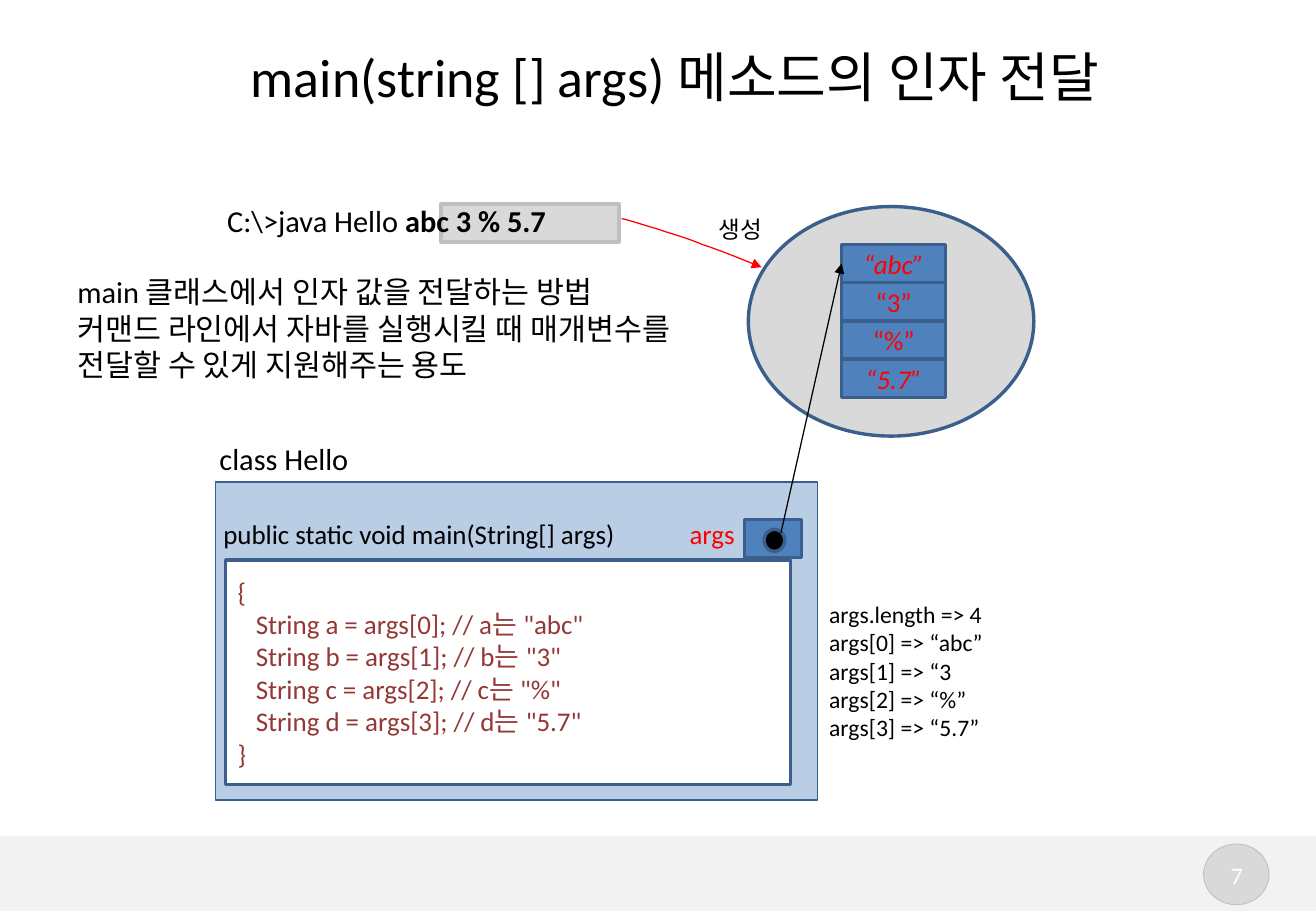
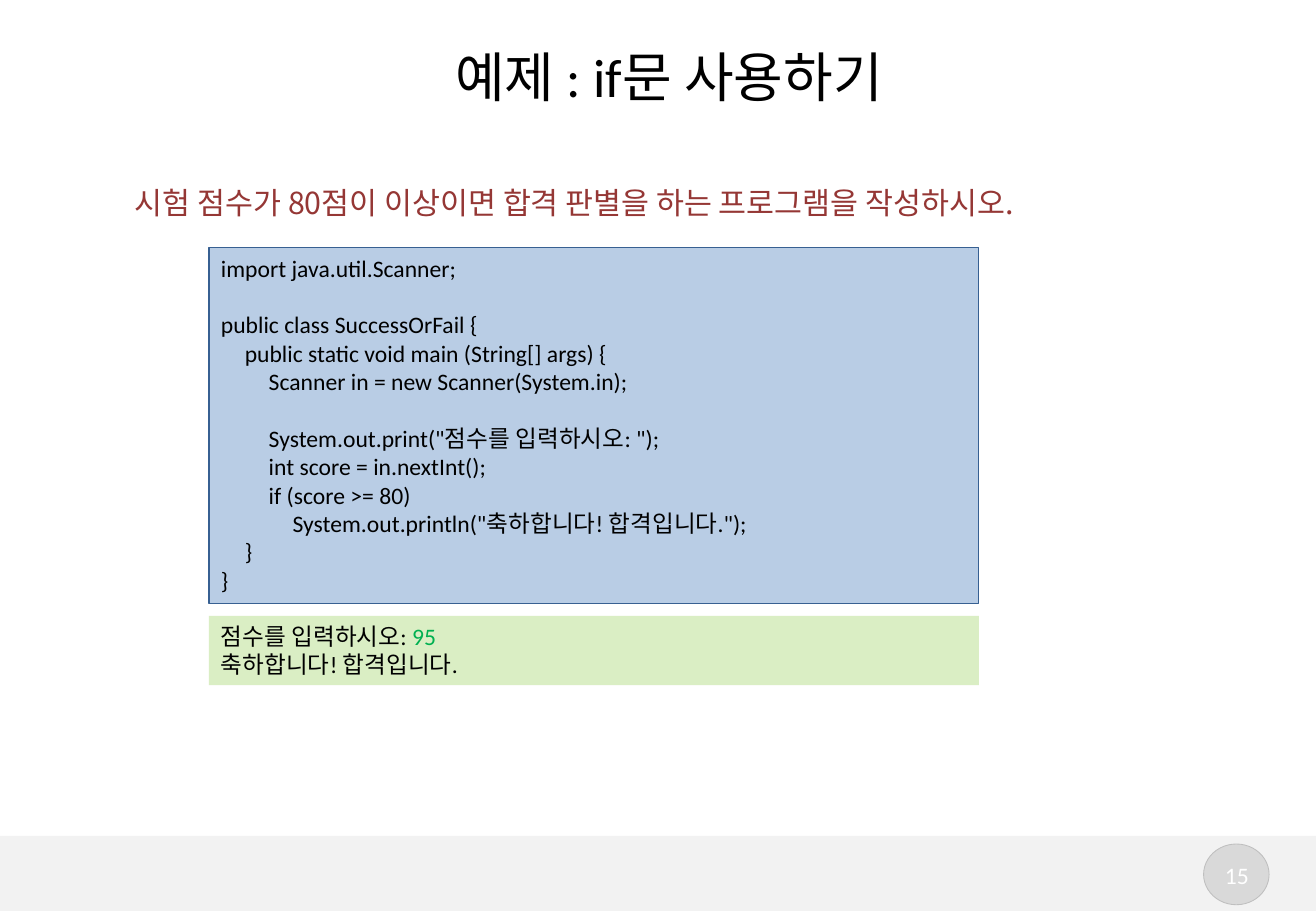
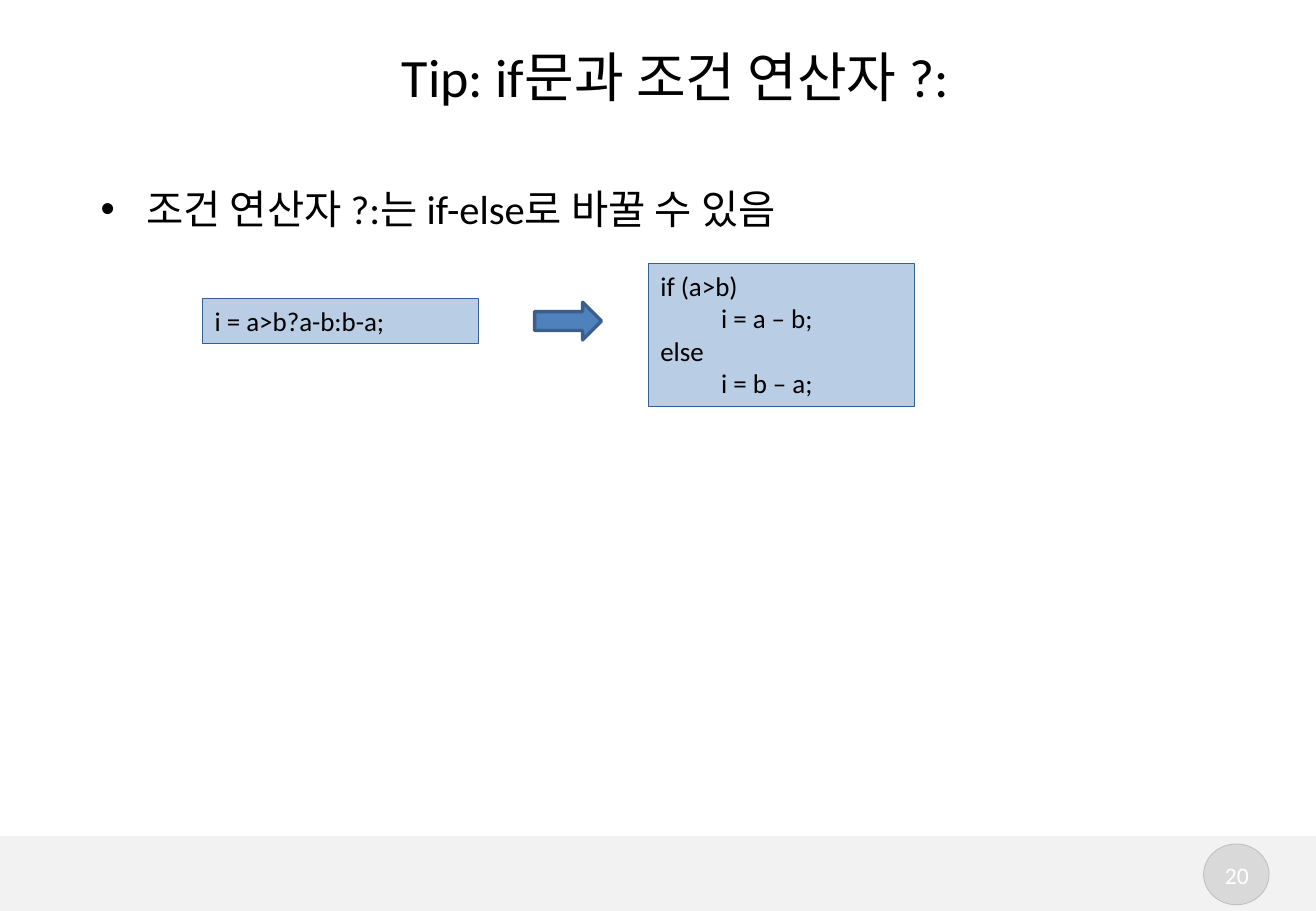
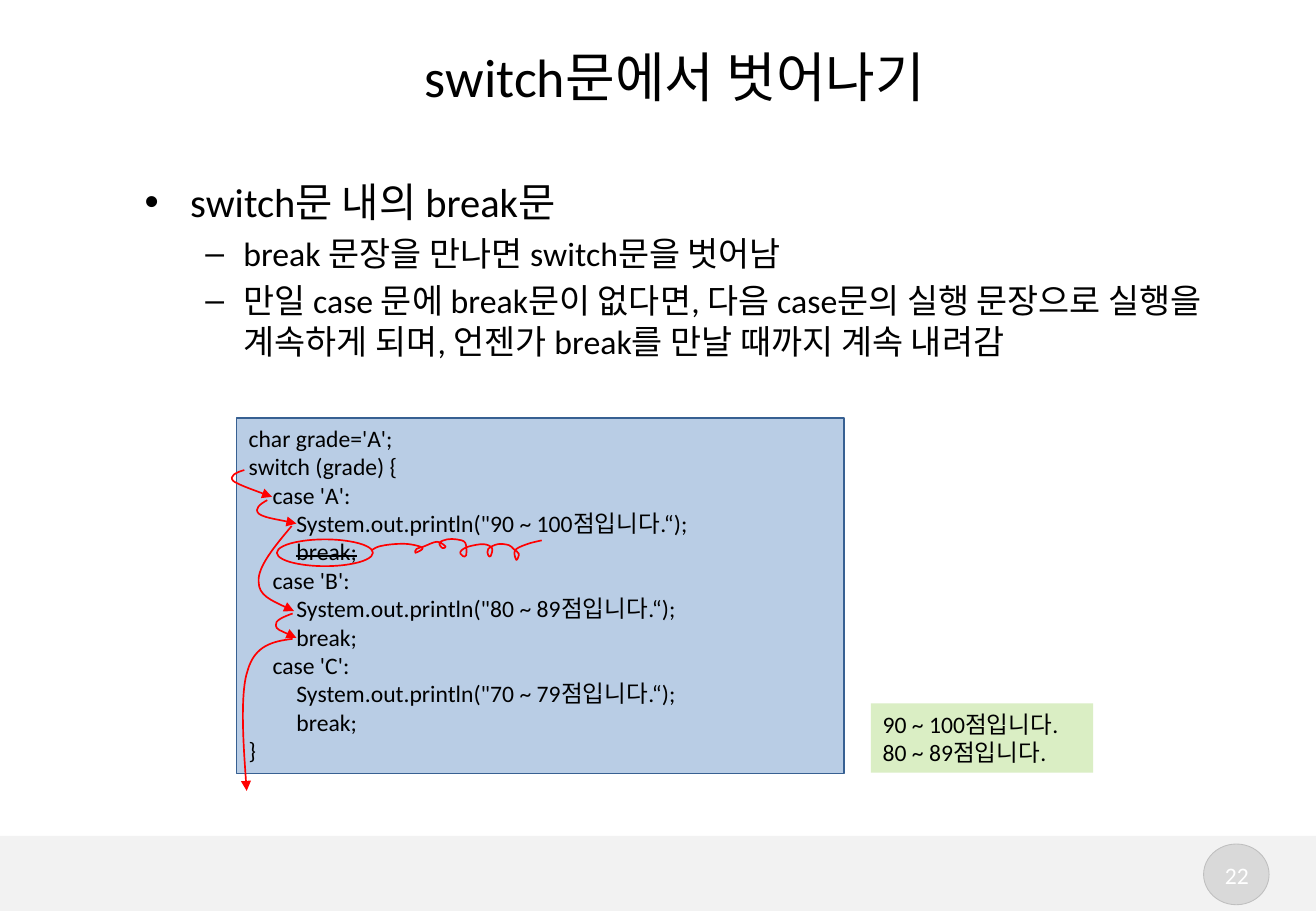
from dataclasses import dataclass

from lxml.etree import SubElement
from pptx import Presentation
from pptx.dml.color import RGBColor
from pptx.enum.shapes import MSO_CONNECTOR as Link, MSO_SHAPE as Preset
from pptx.enum.text import MSO_ANCHOR as Anchor, MSO_AUTO_SIZE as AutoSize, PP_ALIGN as Align
from pptx.oxml.ns import qn
from pptx.util import Cm, Pt


@dataclass(frozen=True)
class Theme:
    font: str = "Calibri"
    korean_font: str = "Noto Sans CJK KR"
    ink: str = "000000"
    white: str = "FFFFFF"
    band: str = "F2F2F2"
    gray: str = "D9D9D9"
    gray_edge: str = "BFBFBF"
    blue: str = "4F81BD"
    blue_edge: str = "3A5F8C"
    code: str = "B9CDE5"
    code_edge: str = "376092"
    result: str = "DAEEC4"
    red: str = "FF0000"
    wine: str = "953735"
    green: str = "00B050"
    title: int = 32
    bullet: int = 24
    sub_bullet: int = 20
    lead: int = 18
    text: int = 16
    small: int = 14


THEME = Theme()
TITLE_AREA = (1.85, 0.64, 24.54, 1.88)


def place(area):
    return [Cm(length) for length in area]


def smooth(points):
    """Return cubic control points of a smooth curve through the points."""
    controls = [points[0]]
    padded = [points[0], *points, points[-1]]
    for before, start, end, after in zip(padded, padded[1:], padded[2:], padded[3:]):
        controls.append(tuple(s + (e - b) / 6 for b, s, e in zip(before, start, end)))
        controls.append(tuple(e - (a - s) / 6 for s, e, a in zip(start, end, after)))
        controls.append(end)
    return controls


class SlideBuilder:
    def __init__(self, deck):
        self.deck = deck
        self.slide = None

    def start(self, number, title, bullets=None, body_area=None):
        layout = self.deck.slide_layouts[1 if bullets else 5]
        self.slide = self.deck.slides.add_slide(layout)
        if len(self.deck.slides) == 1:
            self.add_master_band()
        self.fill_placeholder(self.slide.shapes.title, TITLE_AREA, [(0, title)], [THEME.title])
        if bullets:
            self.fill_placeholder(self.slide.placeholders[1], body_area, bullets,
                                  [THEME.bullet, THEME.sub_bullet])
        self.label((25.32, 17.88, 1.09, 0.86), [str(number)], THEME.small, THEME.white,
                   align=Align.CENTER)

    def add_master_band(self):
        """Put the bottom band and the number disc on the master, behind everything."""
        band = self.shape(Preset.RECTANGLE, (0, 17.48, 27.52, 1.57), THEME.band)
        disc = self.shape(Preset.OVAL, (25.17, 17.65, 1.37, 1.27), THEME.gray,
                          THEME.gray_edge, 0.5)
        for index, part in enumerate((band, disc)):
            part.element.nvSpPr.cNvPr.set("id", str(50 + index))
            self.deck.slide_master.shapes.element.insert(2 + index, part.element)

    def style(self, span, size, color=THEME.ink, font=THEME.font, bold=None, italic=None):
        span.font.size = Pt(size)
        span.font.color.rgb = RGBColor.from_string(color)
        span.font.name = font
        span.font.bold = bold
        span.font.italic = italic
        SubElement(span.font._element, qn("a:ea"), typeface=THEME.korean_font)

    def fill_placeholder(self, holder, area, lines, sizes):
        holder.left, holder.top, holder.width, holder.height = place(area)
        holder.text_frame.text = "\n".join(text for _, text in lines)
        for para, (level, _) in zip(holder.text_frame.paragraphs, lines):
            para.level = level
            self.style(para.runs[0], sizes[level])

    def set_lines(self, frame, lines, size, color=THEME.ink, align=Align.LEFT, tab=0.5, **look):
        """Fill in lines; leading tabs become indents, an empty line becomes space before."""
        frame.text = "\n".join(line.lstrip("\t") for line in lines if line)
        paras = iter(frame.paragraphs)
        gap = 0
        for line in lines:
            if not line:
                gap += size * 1.2
                continue
            para = next(paras)
            para.alignment = align
            para.space_before = Pt(gap)
            gap = 0
            depth = len(line) - len(line.lstrip("\t"))
            if depth:
                properties = para._p.get_or_add_pPr()
                properties.set("marL", str(Cm(depth * tab)))
                properties.set("indent", "0")
            self.style(para.runs[0], size, color, **look)

    def add_span(self, para, text, size, **look):
        span = para.add_run()
        span.text = text
        self.style(span, size, **look)

    def label(self, area, lines, size, color=THEME.ink, wrap=False, **look):
        box = self.slide.shapes.add_textbox(*place(area))
        box.text_frame.word_wrap = wrap
        box.text_frame.auto_size = AutoSize.SHAPE_TO_FIT_TEXT
        self.set_lines(box.text_frame, lines, size, color, **look)
        return box

    def outline(self, shape, color, width):
        shape.line.color.rgb = RGBColor.from_string(color)
        shape.line.width = Pt(width)

    def shape(self, preset, area, fill=None, edge=None, width=2):
        shape = self.slide.shapes.add_shape(preset, *place(area))
        shape.shadow.inherit = False
        if fill:
            shape.fill.solid()
            shape.fill.fore_color.rgb = RGBColor.from_string(fill)
        else:
            shape.fill.background()
        if edge:
            self.outline(shape, edge, width)
        else:
            shape.line.fill.background()
        return shape

    def panel(self, area, lines, size=THEME.small, fill=THEME.code, edge=THEME.code_edge,
              width=0.75, anchor=Anchor.TOP, **look):
        panel = self.shape(Preset.RECTANGLE, area, fill, edge, width)
        panel.text_frame.word_wrap = True
        panel.text_frame.vertical_anchor = anchor
        self.set_lines(panel.text_frame, lines, size, **look)
        return panel

    def result(self, area, lines):
        return self.panel(area, lines, fill=THEME.result, edge=None)

    def cell(self, area, text, italic):
        cell = self.panel(area, [text], THEME.text, THEME.blue, THEME.blue_edge, 2,
                          Anchor.MIDDLE, color=THEME.red, align=Align.CENTER, italic=italic)
        frame = cell.text_frame
        frame.margin_left = frame.margin_right = frame.margin_top = frame.margin_bottom = 0
        return cell

    def add_arrowhead(self, line):
        SubElement(line.element.spPr.get_or_add_ln(), qn("a:tailEnd"), type="triangle")

    def curve(self, controls, width=1, arrow=True):
        """Draw a chain of cubic curves from a start and three points for each curve."""
        points = [(Cm(x), Cm(y)) for x, y in controls]
        builder = self.slide.shapes.build_freeform(*points[0])
        builder.add_line_segments(points[1:], close=False)
        curve = builder.convert_to_shape()
        curve.shadow.inherit = False
        curve.fill.background()
        self.outline(curve, THEME.red, width)
        segments = list(curve.element.iter(qn("a:lnTo")))
        for first in range(0, len(segments), 3):
            outline = segments[first].getparent()
            bend = SubElement(outline, qn("a:cubicBezTo"))
            for segment in segments[first:first + 3]:
                bend.append(segment[0])
                outline.remove(segment)
        if arrow:
            self.add_arrowhead(curve)

    def arrow_to_side(self, start, target, side):
        arrow = self.slide.shapes.add_connector(Link.STRAIGHT, *place(start), *place(start))
        arrow.end_connect(target, side)
        self.outline(arrow, THEME.ink, 0.75)
        self.add_arrowhead(arrow)
        SubElement(arrow.element.spPr, qn("a:effectLst"))


def build_main_arguments(page):
    page.start(7, "main(string [] args) 메소드의 인자 전달")
    page.shape(Preset.RECTANGLE, (9.22, 4.27, 3.73, 0.79), THEME.gray, THEME.gray_edge)
    page.shape(Preset.OVAL, (15.65, 4.32, 5.97, 4.8), THEME.gray, THEME.blue_edge)
    command = page.label((4.5, 4.11, 9.09, 1.02), ["C:\\>java Hello "], THEME.lead, wrap=True)
    page.add_span(command.text_frame.paragraphs[0], "abc 3 % 5.7", THEME.lead, bold=True)
    page.shape(Preset.RECTANGLE, (4.5, 10.08, 12.6, 6.65), THEME.code, THEME.code_edge, 0.75)
    cells = [
        page.cell((17.6, 5.11 + 0.8 * row, 2.18, 0.8), text, italic)
        for row, (text, italic) in enumerate(
            [("“abc”", True), ("“3”", False), ("“%”", False), ("“5.7”", True)])
    ]
    page.curve([(13, 4.57), (13.21, 4.62), (13.44, 4.7), (13.72, 4.78), (14, 4.88),
                (14.3, 4.95), (14.68, 5.11), (15.04, 5.23), (15.49, 5.41), (15.93, 5.59)],
               width=0.75)
    page.label((14.78, 4.37, 1.5, 0.86), ["생성"], THEME.small)
    page.label((4.34, 9.09, 3.23, 1.02), ["class Hello"], THEME.lead)
    page.label((4.42, 10.69, 8.79, 0.94), ["public static void main(String[] args)"], THEME.text)
    assignments = [
        f"\tString {name} = args[{index}]; // {name}는 \"{value}\""
        for index, (name, value) in enumerate(zip("abcd", ("abc", "3", "%", "5.7")))
    ]
    page.panel((4.72, 11.71, 11.81, 4.7), ["{", *assignments, "}"], THEME.text, THEME.white,
               THEME.blue_edge, 2, Anchor.MIDDLE, color=THEME.wine, tab=0.38)
    page.label((14.17, 10.69, 1.47, 0.94), ["args"], THEME.text, THEME.red)
    page.shape(Preset.RECTANGLE, (15.57, 10.87, 1.19, 0.79), THEME.blue, THEME.blue_edge)
    page.shape(Preset.FLOWCHART_CONNECTOR, (15.98, 11.07, 0.43, 0.46), THEME.ink,
               THEME.blue_edge)
    page.arrow_to_side((16.33, 11.15), cells[0], 1)
    page.label((17.09, 12.42, 3.76, 3.25),
               ["args.length => 4", "args[0] => “abc”", "args[1] => “3", "args[2] => “%”",
                "args[3] => “5.7”"], THEME.small)
    page.label((1.37, 5.59, 12.93, 2.57),
               ["main 클래스에서 인자 값을 전달하는 방법",
                "커맨드 라인에서 자바를 실행시킬 때 매개변수를 전달할 수 있게 지원해주는 용도"],
               THEME.lead, wrap=True)


def build_if_example(page):
    page.start(15, "예제 : if문 사용하기 ")
    page.panel((4.37, 5.18, 16.1, 7.44), [
        "import java.util.Scanner;",
        "",
        "public class SuccessOrFail {",
        "\tpublic static void main (String[] args) {",
        "\t\tScanner in = new Scanner(System.in);",
        "",
        "\t\tSystem.out.print(\"점수를 입력하시오: \");",
        "\t\tint score = in.nextInt();",
        "\t\tif (score >= 80)",
        "\t\t\tSystem.out.println(\"축하합니다! 합격입니다.\");",
        "\t}",
        "}",
    ])
    page.label((2.57, 3.73, 21.03, 1.02),
               ["시험 점수가 80점이 이상이면 합격 판별을 하는 프로그램을 작성하시오."],
               THEME.lead, THEME.wine, font=THEME.korean_font)
    result = page.result((4.37, 12.88, 16.1, 1.45),
                         ["점수를 입력하시오: ", "축하합니다! 합격입니다."])
    page.add_span(result.text_frame.paragraphs[0], "95", THEME.small, color=THEME.green)


def build_conditional_tip(page):
    page.start(20, "Tip: if문과 조건 연산자 ?:",
               [(0, "조건 연산자 ?:는 if-else로 바꿀 수 있음")], (1.85, 3.73, 24.54, 14))
    page.panel((13.56, 5.51, 5.56, 3), ["if (a>b)", "\ti = a – b;", "else", "\ti = b – a;"],
               THEME.text, tab=1.27)
    page.panel((4.24, 6.25, 5.77, 0.94), ["i = a>b?a-b:b-a;"], THEME.text)
    page.shape(Preset.RIGHT_ARROW, (11.18, 6.32, 1.4, 0.79), THEME.blue, THEME.blue_edge)


def build_switch_break(page):
    page.start(22, "switch문에서 벗어나기", [
        (0, "switch문 내의 break문"),
        (1, "break 문장을 만나면 switch문을 벗어남"),
        (1, "만일 case 문에 break문이 없다면, 다음 case문의 실행 문장으로 실행을 계속하게 되며, "
            "언젠가 break를 만날 때까지 계속 내려감"),
    ], (2.77, 3.58, 22.66, 5.56))
    cases = []
    for grade, scores in (("A", "90 ~ 100"), ("B", "80 ~ 89"), ("C", "70 ~ 79")):
        cases += [f"\tcase '{grade}':", f"\t\tSystem.out.println(\"{scores}점입니다.“);",
                  "\t\tbreak;"]
    code = page.panel((4.95, 8.74, 12.7, 7.44),
                      ["char grade='A';", "switch (grade) {", *cases, "}"])
    skipped_break = code.text_frame.paragraphs[4].runs[0]
    skipped_break.font._element.set("strike", "sngStrike")
    page.shape(Preset.OVAL, (5.79, 11.28, 2.01, 0.56), edge=THEME.red, width=1)
    squiggle = [
        (7.77, 11.51), (7.92, 11.43), (8.23, 11.38), (8.56, 11.38), (8.84, 11.46),
        (8.69, 11.56), (8.71, 11.48), (8.86, 11.43), (9.14, 11.33), (9.32, 11.43),
        (9.25, 11.46), (9.19, 11.35), (9.35, 11.28), (9.55, 11.28), (9.73, 11.35),
        (9.75, 11.61), (9.68, 11.63), (9.63, 11.58), (9.65, 11.51), (9.8, 11.43),
        (10.11, 11.38), (10.29, 11.46), (10.26, 11.63), (10.21, 11.61), (10.21, 11.48),
        (10.41, 11.38), (10.64, 11.4), (10.74, 11.48), (10.85, 11.58), (10.8, 11.71),
        (10.77, 11.51), (11.02, 11.38), (11.33, 11.3),
    ]
    page.curve(smooth(squiggle), arrow=False)
    page.result((18.21, 14.71, 4.65, 1.45), ["90 ~ 100점입니다.", "80 ~ 89점입니다."])
    flow_arrows = [
        [(5.11, 9.83), (4.93, 9.88), (4.78, 9.96), (4.88, 10.06),
         (4.98, 10.13), (5.33, 10.26), (5.69, 10.39)],
        [(5.59, 10.46), (5.44, 10.54), (5.31, 10.64), (5.41, 10.74),
         (5.51, 10.82), (5.84, 10.87), (6.2, 10.95)],
        [(6.1, 11), (5.74, 11.43), (5.38, 11.86), (5.41, 12.17),
         (5.41, 12.45), (5.77, 12.6), (6.15, 12.78)],
        [(6.12, 12.83), (5.92, 12.9), (5.74, 12.98), (5.77, 13.08),
         (5.77, 13.16), (5.97, 13.23), (6.2, 13.34)],
        [(6.12, 13.36), (5.72, 13.41), (5.33, 13.49), (5.18, 14.02),
         (5, 14.53), (5.16, 16.54), (5.16, 16.54)],
    ]
    for controls in flow_arrows:
        page.curve(controls)


def main():
    deck = Presentation()
    deck.slide_width, deck.slide_height = Cm(27.52), Cm(19.05)
    page = SlideBuilder(deck)
    for build in (build_main_arguments, build_if_example, build_conditional_tip,
                  build_switch_break):
        build(page)
    deck.save("out.pptx")


if __name__ == "__main__":
    main()
